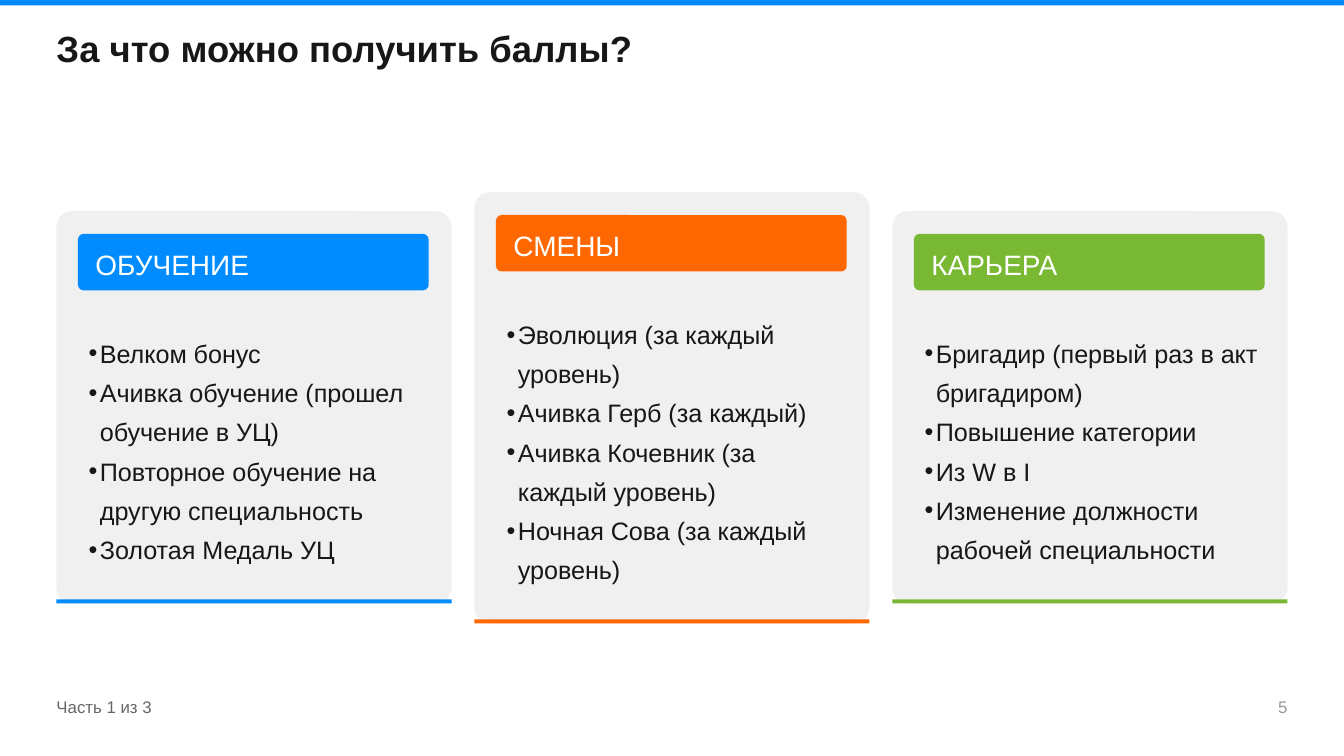
from lxml import etree
from pptx import Presentation
from pptx import util as u
from pptx.dml.color import RGBColor
from pptx.enum import shapes
from pptx.oxml.ns import qn

COLORS = {
    "blue": "008CFF",
    "orange": "FF6700",
    "green": "78B832",
    "card": "F0F0F0",
    "ink": "181716",
    "white": "FFFFFF",
    "footer": "666666",
    "number": "999999",
}
RECT = shapes.MSO_SHAPE.RECTANGLE
ROUND = shapes.MSO_SHAPE.ROUNDED_RECTANGLE

prs = Presentation()
prs.slide_width = u.Inches(10)
prs.slide_height = u.Inches(10 * 9 / 16)
s = prs.slides.add_slide(prs.slide_layouts[6])


def add_box(kind, x, y, w, h, color, radius=0):
    sp = s.shapes.add_shape(kind, u.Inches(x), u.Inches(y), u.Inches(w), u.Inches(h))
    sp.shadow.inherit = False
    sp.fill.solid()
    sp.fill.fore_color.rgb = RGBColor.from_string(COLORS[color])
    sp.line.fill.background()
    if radius:
        sp.adjustments[0] = radius


def add_text(x, y, w, h, lines, size, color, spacing, bold=False, bullets=False):
    tf = s.shapes.add_textbox(u.Inches(x), u.Inches(y), u.Inches(w), u.Inches(h)).text_frame
    tf.word_wrap = True
    tf.margin_left = u.Inches(0.08 if bullets else 0)
    tf.margin_top = tf.margin_right = tf.margin_bottom = 0
    for i, line in enumerate(lines):
        p = tf.add_paragraph() if i else tf.paragraphs[0]
        p.line_spacing = u.Pt(spacing)
        r = p.add_run()
        r.text = line
        r.font.name = "Arial"
        r.font.size = u.Pt(size)
        r.font.bold = bold
        r.font.color.rgb = RGBColor.from_string(COLORS[color])
        if bullets:
            pPr = p._p.get_or_add_pPr()
            pPr.set("marL", str(u.Pt(6)))
            pPr.set("indent", str(-u.Pt(6)))
            etree.SubElement(pPr, qn("a:buFont")).set("typeface", "Arial")
            etree.SubElement(pPr, qn("a:buChar")).set("char", "•")


add_box(RECT, 0, 0, 10, 0.04, "blue")
add_text(0.42, 0.25, 4.69, 0.27, ["За что можно получить баллы?"], 19.5, "ink", 19.5, bold=True)

cards = [
    ("ОБУЧЕНИЕ", "blue", 1.57, 2.92, [
        "Велком бонус",
        "Ачивка обучение (прошел обучение в УЦ)",
        "Повторное обучение на другую специальность",
        "Золотая Медаль УЦ",
    ]),
    ("СМЕНЫ", "orange", 1.43, 3.21, [
        "Эволюция (за каждый уровень)",
        "Ачивка Герб (за каждый)",
        "Ачивка Кочевник (за каждый уровень)",
        "Ночная Сова (за каждый уровень)",
    ]),
    ("КАРЬЕРА", "green", 1.57, 2.92, [
        "Бригадир (первый раз в акт бригадиром)",
        "Повышение категории",
        "Из W в I",
        "Изменение должности рабочей специальности",
    ]),
]
for i, (heading, color, y, h, items) in enumerate(cards):
    x = 0.42 + i * 3.11
    bottom = y + h
    add_box(ROUND, x, y, 2.94, h, "card", 0.04)
    add_box(RECT, x, bottom - 0.03, 2.94, 0.03, color)
    add_box(ROUND, x + 0.16, y + 0.17, 2.61, 0.42, color, 0.1)
    add_text(x + 0.29, y + 0.23, 2.41, 0.29, [heading], 15, "white", 21)
    body_height = h - 1.04
    add_text(x + 0.16, bottom - 0.16 - body_height, 2.61, body_height, items, 13.5, "ink", 21, bullets=True)

add_text(0.42, 5.16, 0.72, 0.17, ["Часть 1 из 3"], 9, "footer", 12.6)
add_text(9.51, 5.16, 0.07, 0.17, ["5"], 9, "number", 12.6)

prs.save("out.pptx")
